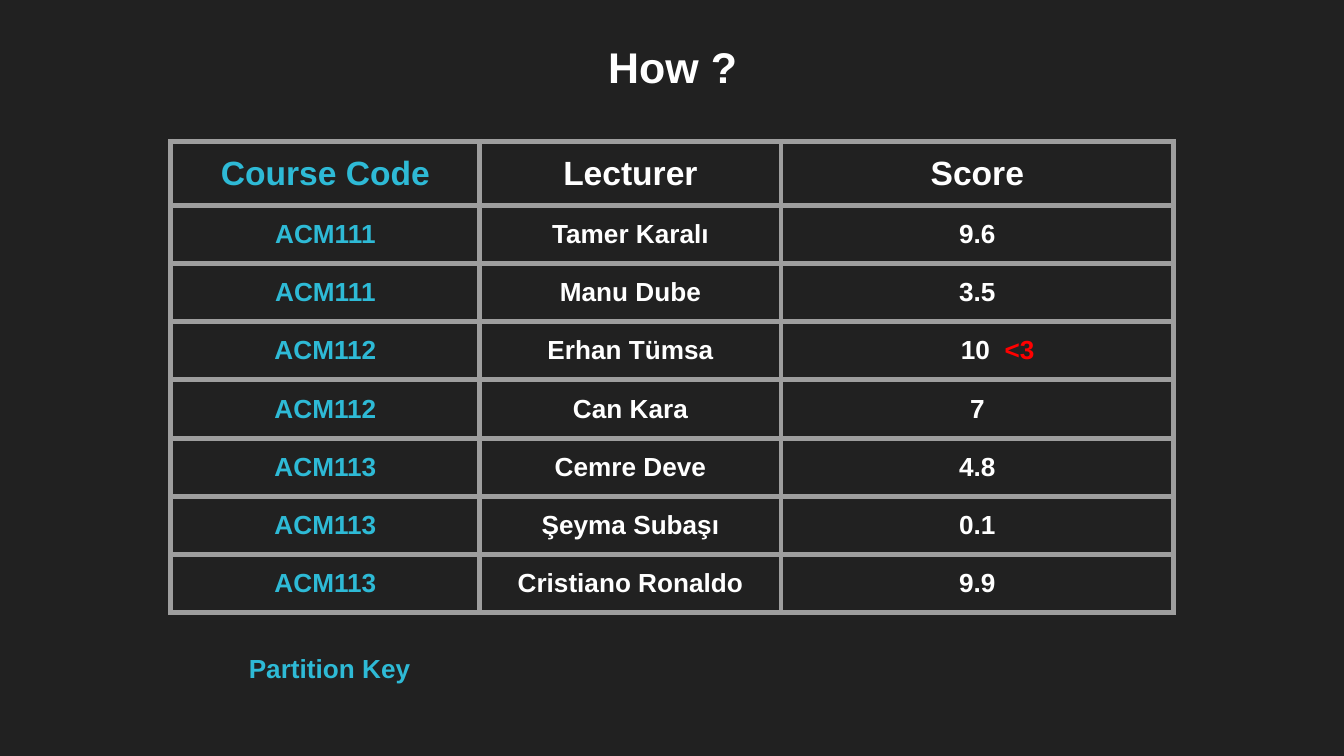
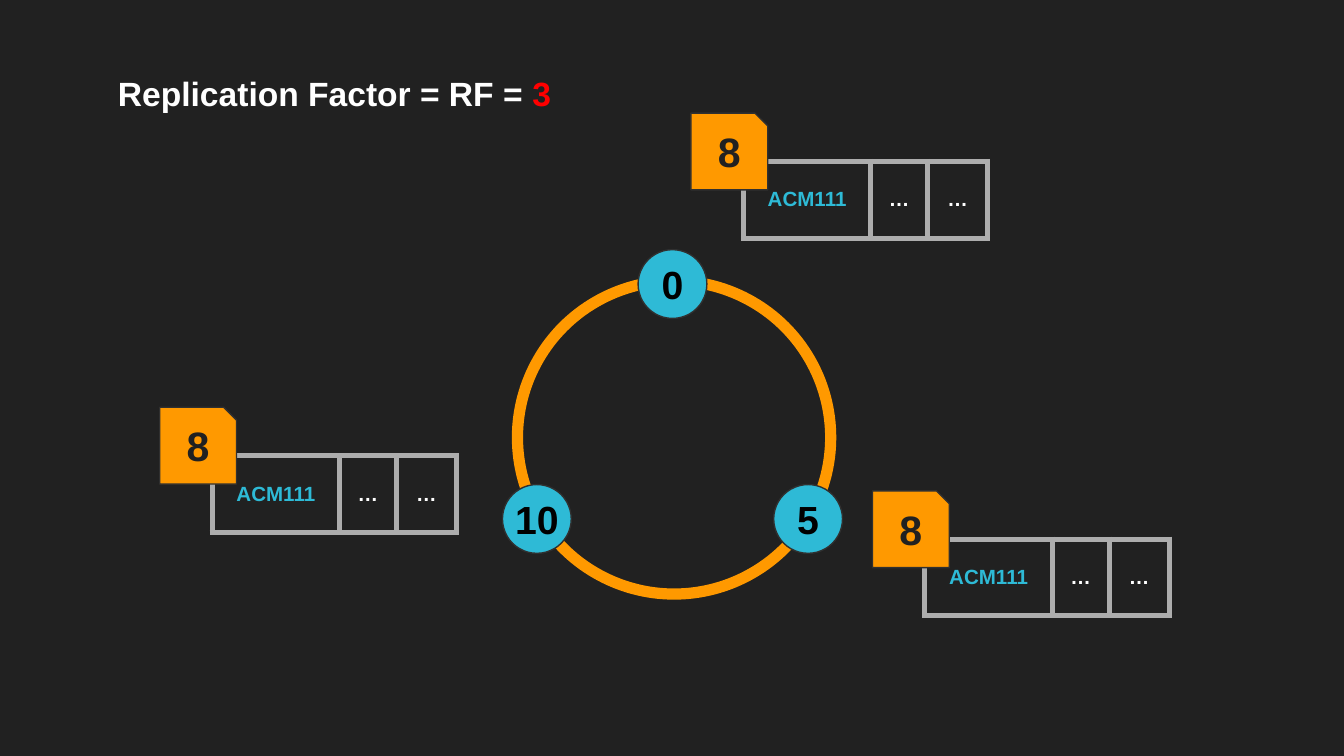
from math import cos, radians, sin

from lxml import etree
from pptx import Presentation
from pptx.dml.color import RGBColor
from pptx.enum.shapes import MSO_SHAPE
from pptx.enum.text import MSO_ANCHOR, PP_ALIGN
from pptx.oxml import parse_xml
from pptx.oxml.ns import nsdecls
from pptx.util import Cm, Pt

OVAL, SNIPPED = MSO_SHAPE.OVAL, MSO_SHAPE.SNIP_1_RECTANGLE
CENTER, LEFT = PP_ALIGN.CENTER, PP_ALIGN.LEFT
TOP, MIDDLE = MSO_ANCHOR.TOP, MSO_ANCHOR.MIDDLE

# Shared look
DARK, WHITE, BLACK = "212121", "FFFFFF", "000000"
CYAN, ORANGE, RED = "2EBAD6", "FF9900", "FF0000"
OUTLINE = "303030"
INSETS = {f"margin_{side}": Cm(0.25) for side in ("left", "right", "top", "bottom")}
BOX_FORMAT = {**INSETS, "word_wrap": True, "vertical_anchor": TOP}
CELL_FORMAT = {**INSETS, "vertical_anchor": MIDDLE}
rgb = RGBColor.from_string


def write(frame, spans, size, align=CENTER):
    """Fill a text frame with bold (text, colour) spans; return the paragraph."""
    para = frame.paragraphs[0]
    para.alignment = align
    for text, colour in spans:
        span = para.add_run()
        span.text = text
        for name, value in {"name": "Arial", "size": Pt(size), "bold": True}.items():
            setattr(span.font, name, value)
        span.font.color.rgb = rgb(colour)
    return para


def add_grid(page, left, top, widths, height, rows, sizes, border):
    """Add an unfilled table whose first column is the cyan key."""
    grid = page.shapes.add_table(len(rows), len(widths), Cm(left), Cm(top),
                                 Cm(sum(widths)), Cm(height * len(rows))).table
    grid.first_row = grid.horz_banding = False
    for column, width in zip(grid.columns, widths):
        column.width = Cm(width)
    for r, (row, size) in enumerate(zip(rows, sizes)):
        for c, text in enumerate(row):
            cell = grid.cell(r, c)
            for name, value in CELL_FORMAT.items():
                setattr(cell, name, value)
            for side in "LRTB":
                cell._tc.get_or_add_tcPr().append(parse_xml(
                    f'<a:ln{side} {nsdecls("a")} w="{Pt(3)}"><a:solidFill>'
                    f'<a:srgbClr val="{border}"/></a:solidFill></a:ln{side}>'))
            cell.fill.background()
            if text:
                write(cell.text_frame, [(text, WHITE if c else CYAN)], size)
    return grid


deck = Presentation()
deck.slide_width, deck.slide_height = Cm(25.4), Cm(14.29)
pages = [deck.slides.add_slide(deck.slide_layouts[6]) for _ in range(2)]
for page in pages:
    page.background.fill.solid()
    page.background.fill.fore_color.rgb = rgb(DARK)
table_page, ring_page = pages

# Slide 1: course table
courses = [
    ("Course Code", "Lecturer", "Score"),
    ("ACM111", "Tamer Karalı", "9.6"),
    ("ACM111", "Manu Dube", "3.5"),
    ("ACM112", "Erhan Tümsa", ""),
    ("ACM112", "Can Kara", "7"),
    ("ACM113", "Cemre Deve", "4.8"),
    ("ACM113", "Şeyma Subaşı", "0.1"),
    ("ACM113", "Cristiano Ronaldo", "9.9"),
]
course_grid = add_grid(table_page, 3.23, 2.67, (5.84, 5.69, 7.42), 1.1, courses,
                       [18] + [14] * 7, "9E9E9E")

# The top score stays under the others, with a heart after a widened space
top_score = write(course_grid.cell(3, 2).text_frame,
                  [("10", WHITE), (" ", WHITE), ("<3", RED)], 14, LEFT)
top_score._p.get_or_add_pPr().set("marL", str(Cm(3.15)))
top_score.runs[1]._r.get_or_add_rPr().set("spc", "390")

# Slide 2: token ring
ring = ring_page.shapes.add_shape(OVAL, Cm(9.78), Cm(5.31), Cm(5.92), Cm(5.92))
ring.shadow.inherit = False
ring.fill.background()
ring.line.color.rgb = rgb(ORANGE)
ring.line.width = Pt(6)

# Nodes a third of a turn apart; badges hang on the corner of each replica
RING_X, RING_Y, RING_RADIUS = 12.71, 8.33, 2.96
NODE, BADGE = 1.3, 1.45
replicas = [(4.01, 8.61), (14.05, 3.05), (17.48, 10.19)]
markers, labels = [], []
for step, (token, width) in enumerate([("0", 0.97), ("5", 0.97), ("10", 1.4)]):
    angle = radians(120 * step - 90)
    x, y = RING_X + RING_RADIUS * cos(angle), RING_Y + RING_RADIUS * sin(angle)
    markers.append((OVAL, x - NODE / 2, y - NODE / 2, NODE, CYAN))
    labels.append((ring_page, (x - width / 2, y - 0.7, width, 1.42),
                   [(token, BLACK)], 21, CENTER))
for left, top in replicas:
    add_grid(ring_page, left, top, (2.41, 1.07, 1.14), 1.45,
             [("ACM111", "…", "…")], [11], "ADADAD")
    x, y = left - 0.99, top - 0.91
    markers.append((SNIPPED, x, y, BADGE, ORANGE))
    labels.append((ring_page, (x, y, BADGE, BADGE), [("8", DARK)], 22, CENTER))

for kind, left, top, size, colour in markers:
    marker = ring_page.shapes.add_shape(kind, Cm(left), Cm(top), Cm(size), Cm(size))
    marker.shadow.inherit = False
    marker.fill.solid()
    marker.fill.fore_color.rgb = rgb(colour)
    marker.line.color.rgb = rgb(OUTLINE)
    marker.line.width = Pt(0.75)

# Titles and labels of both slides
labels += [
    (table_page, (3.23, 0.51, 18.97, 1.55), [("How ?", WHITE)], 23, CENTER),
    (table_page, (3.51, 12.09, 5.44, 1.12), [("Partition Key", CYAN)], 14, CENTER),
    (ring_page, (1.98, 1.12, 9.78, 1.27),
     [("Replication Factor = RF = ", WHITE), ("3", RED)], 18, LEFT),
]
for page, place, spans, size, align in labels:
    box = page.shapes.add_textbox(*map(Cm, place))
    for name, value in BOX_FORMAT.items():
        setattr(box.text_frame, name, value)
    write(box.text_frame, spans, size, align)

deck.save("out.pptx")
